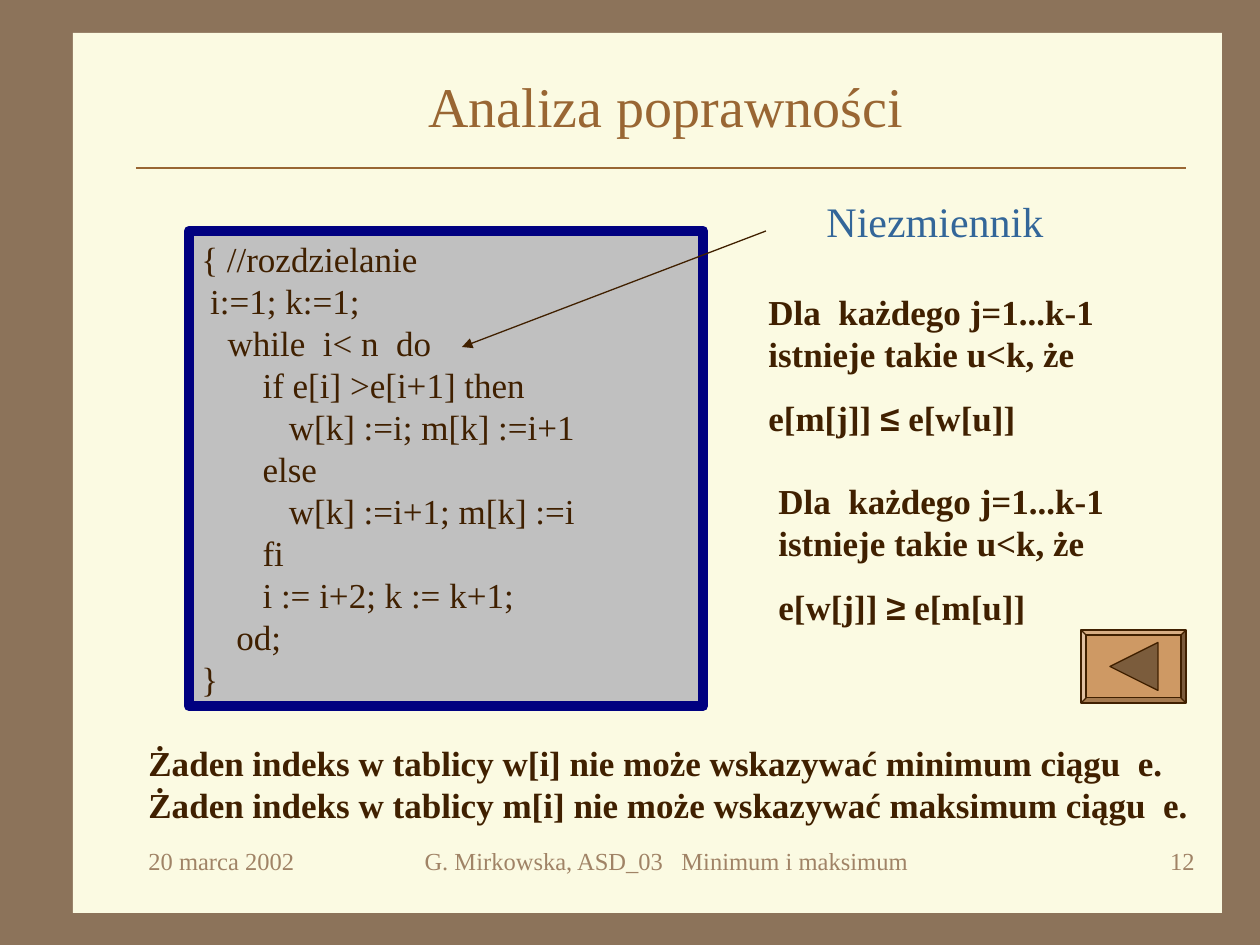
from lxml import etree
from pptx import Presentation
from pptx.dml.color import RGBColor
from pptx.enum.shapes import MSO_CONNECTOR, MSO_SHAPE
from pptx.enum.text import MSO_ANCHOR, PP_ALIGN
from pptx.oxml.ns import qn
from pptx.util import Pt

PX = 914400 / 126
LEFT, CENTER, RIGHT = PP_ALIGN.LEFT, PP_ALIGN.CENTER, PP_ALIGN.RIGHT
TOP, MIDDLE = MSO_ANCHOR.TOP, MSO_ANCHOR.MIDDLE
RECTANGLE, BEVEL = MSO_SHAPE.RECTANGLE, MSO_SHAPE.BEVEL
STRAIGHT = MSO_CONNECTOR.STRAIGHT
SERIF, SANS = "Times New Roman", "Arial"
FRAME, PAPER, BROWN, INK = "8C735A", "FBFAE2", "996633", "402000"
BLUE, NAVY, GRAY, MUTED = "336699", "000080", "C0C0C0", "A08366"
BUTTON, BUTTON_DARK = "CE9964", "7B5C3C"

CODE = [
    "{ //rozdzielanie",
    " i:=1; k:=1;",
    "   while  i< n  do",
    "       if e[i] >e[i+1] then",
    "          w[k] :=i; m[k] :=i+1",
    "       else",
    "          w[k] :=i+1; m[k] :=i",
    "       fi",
    "       i := i+2; k := k+1;",
    "    od;",
    "}",
]


def px(value):
    return round(value * PX)


def color(hex_string):
    return RGBColor.from_string(hex_string)


def style_shape(shape, fill, line=None, width=0.75):
    shape.shadow.inherit = False
    shape.fill.solid()
    shape.fill.fore_color.rgb = color(fill)
    if line:
        shape.line.color.rgb = color(line)
        shape.line.width = Pt(width)
    else:
        shape.line.fill.background()


def add_box(slide, kind, box, fill, line=None, width=0.75):
    shape = slide.shapes.add_shape(kind, *map(px, box))
    style_shape(shape, fill, line, width)
    return shape


def add_line(slide, start, end, line):
    connector = slide.shapes.add_connector(STRAIGHT, *map(px, start + end))
    connector.line.color.rgb = color(line)
    connector.line.width = Pt(0.75)
    etree.SubElement(connector._element.spPr, qn("a:effectLst"))
    return connector


def write(shape, paragraphs, size, ink, align=LEFT, bold=False, anchor=TOP, wrap=True):
    """Each paragraph is a list of runs; mathematical relations use the sans font."""
    frame = shape.text_frame
    frame.word_wrap = wrap
    frame.vertical_anchor = anchor
    for index, runs in enumerate(paragraphs):
        paragraph = frame.paragraphs[0] if index == 0 else frame.add_paragraph()
        paragraph.alignment = align
        if index:
            paragraph.space_before = Pt(12.5)
        font = paragraph.font
        font.name, font.size, font.bold = SERIF, Pt(size), bold
        font.color.rgb = color(ink)
        for line_number, text in enumerate(runs):
            if text == "\v":
                paragraph.add_line_break()
                continue
            run = paragraph.add_run()
            run.text = text
            if text in "≤≥":
                run.font.name = SANS


def add_text(slide, box, paragraphs, size, ink, **options):
    shape = slide.shapes.add_textbox(*map(px, box))
    write(shape, paragraphs, size, ink, **options)


def add_header(slide, box):
    left, top, width, height = box
    add_text(slide, (left, top, width + 10, height), [["Analiza poprawności"]],
             32, BROWN, align=CENTER, anchor=MIDDLE)
    rule = top + height + 21
    add_line(slide, (left, rule), (left + width, rule), BROWN)


def add_code(slide, box):
    shape = add_box(slide, RECTANGLE, box, GRAY, NAVY, 6)
    lines = [CODE[0]]
    for line in CODE[1:]:
        lines += ["\v", line]
    write(shape, [lines], 20, INK)


def add_invariant(slide, box, left_side, relation, right_side):
    condition = ["Dla  każdego j=1...k-1", "\v", "istnieje takie u<k, że"]
    add_text(slide, box, [condition, [left_side + " ", relation, " " + right_side]],
             20, INK, bold=True)


def add_arrow(slide, start, end):
    arrow = add_line(slide, start, end, INK)
    etree.SubElement(arrow.line._get_or_add_ln(), qn("a:tailEnd"), type="triangle",
                     w="med", len="med")


def add_back_button(slide, box):
    left, top, width, height = box
    button = add_box(slide, BEVEL, box, BUTTON, INK)
    button.adjustments[0] = 0.07
    middle = top + height / 2
    tip, base, half = left + 29, left + 77, 24
    builder = slide.shapes.build_freeform(px(tip), px(middle))
    builder.add_line_segments([(px(base), px(middle - half)),
                               (px(base), px(middle + half))], close=True)
    style_shape(builder.convert_to_shape(), BUTTON_DARK, INK)


def add_footer(slide, box):
    left, top, width, height = box
    side = 262
    middle_box = (left + 252, top, 557, height)
    for part, text, align in (
        ((left, top, side, height), "20 marca 2002", LEFT),
        (middle_box, "G. Mirkowska, ASD_03   Minimum i maksimum", CENTER),
        ((left + width - side, top, side, height), "12", RIGHT),
    ):
        add_text(slide, part, [[text]], 14, MUTED, align=align)


def main():
    presentation = Presentation()
    presentation.slide_width, presentation.slide_height = px(1260), px(945)
    slide = presentation.slides.add_slide(presentation.slide_layouts[6])

    # Background and title
    slide.background.fill.solid()
    slide.background.fill.fore_color.rgb = color(FRAME)
    add_box(slide, RECTANGLE, (73, 33, 1149, 880), PAPER)
    add_header(slide, (136, 63, 1050, 84))

    # Code and its invariants
    add_code(slide, (189, 231, 514, 475))
    add_invariant(slide, (756, 284, 451, 161), "e[m[j]]", "≤", "e[w[u]]")
    add_invariant(slide, (766, 473, 451, 161), "e[w[j]]", "≥", "e[m[u]]")
    add_text(slide, (777, 189, 316, 72), [["Niezmiennik"]], 24, BLUE,
             align=CENTER, wrap=False)
    add_arrow(slide, (766, 231), (462, 347))

    # Conclusion, navigation and footer
    conclusion = ("Żaden indeks w tablicy w[i] nie może wskazywać minimum ciągu  e. "
                  "Żaden indeks w tablicy m[i] nie może wskazywać maksimum ciągu  e.")
    add_text(slide, (136, 735, 1081, 97), [[conclusion]], 20, INK, bold=True)
    add_back_button(slide, (1081, 630, 105, 73))
    add_footer(slide, (136, 840, 1071, 63))

    presentation.save("out.pptx")


if __name__ == "__main__":
    main()
